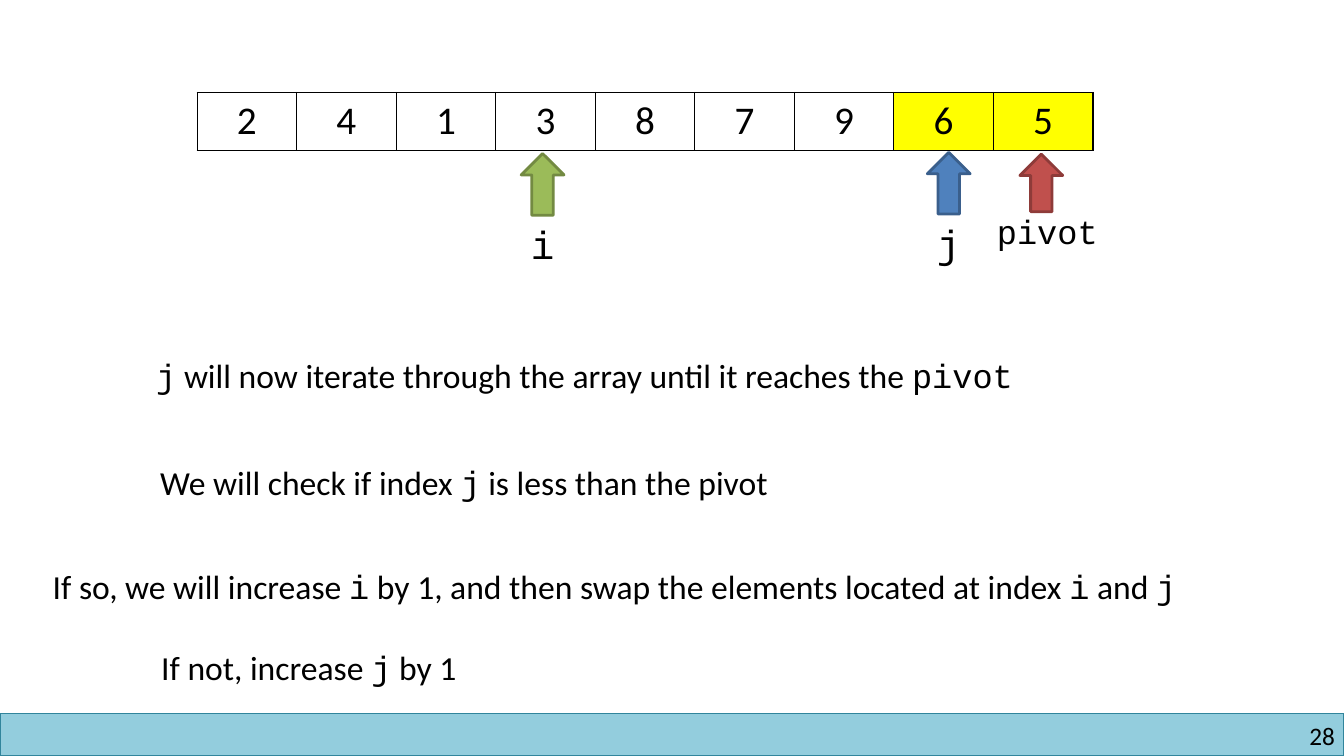
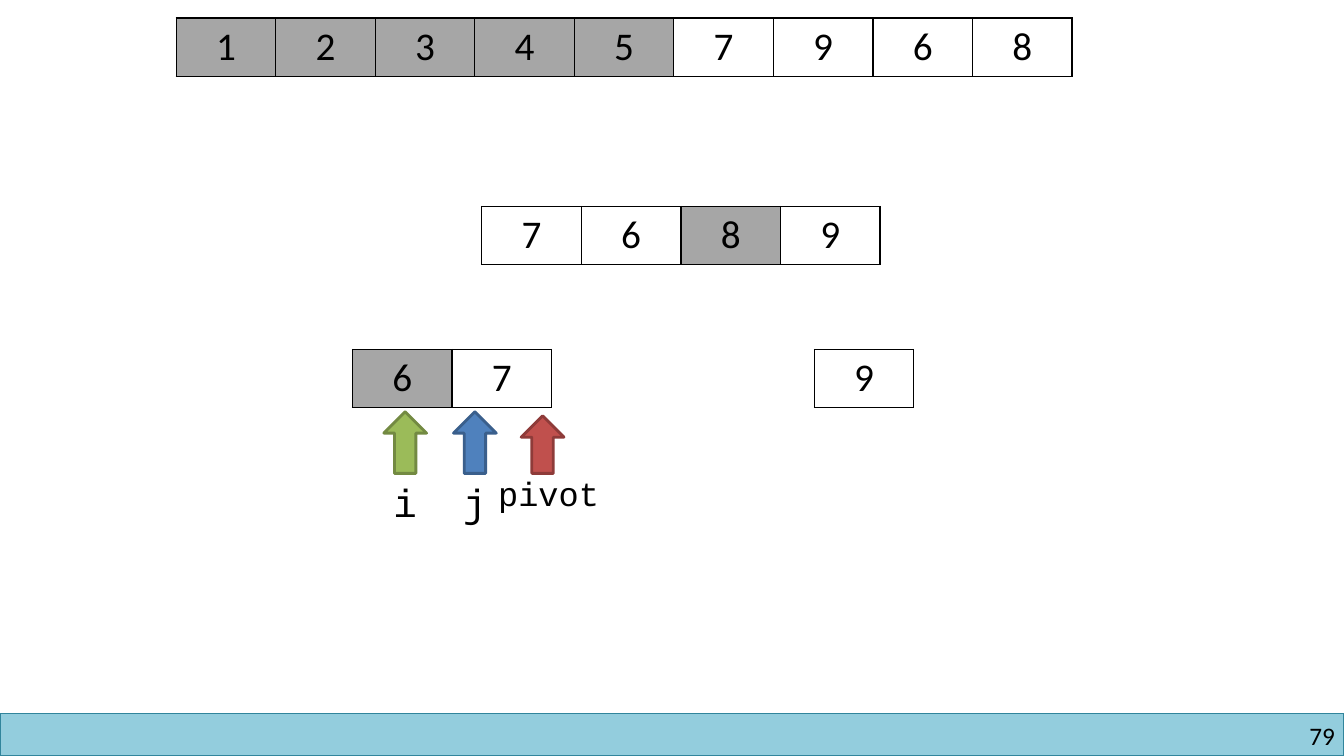
from dataclasses import dataclass
from lxml.etree import SubElement
from pptx import Presentation
from pptx.dml.color import RGBColor
from pptx.enum.shapes import MSO_SHAPE as Preset
from pptx.enum.text import PP_ALIGN as Align
from pptx.oxml.ns import qn
from pptx.util import Inches, Pt


@dataclass(frozen=True)
class Theme:
    """Colours, fonts, type sizes and line widths shared by the slides."""
    text: str = "000000"
    plain: str = "FFFFFF"
    marked: str = "FFFF00"
    done: str = "A6A6A6"
    band: str = "93CDDD"
    band_line: str = "31859C"
    body_font: str = "Calibri"
    code_font: str = "Courier New"
    large: int = 28
    medium: int = 24
    small: int = 18
    thin: int = 1
    thick: int = 2


@dataclass(frozen=True)
class Box:
    """A rectangle measured in grid columns and rows."""
    left: float
    top: float
    width: float
    height: float

    def place(self):
        """Return left, top, width and height as slide lengths."""
        return (int(self.left * COLUMN), int(self.top * ROW),
                int(self.width * COLUMN), int(self.height * ROW))


@dataclass(frozen=True)
class Pointer:
    """Colours and label layout of one kind of index pointer."""
    fill: str
    line: str
    height: float
    size: int
    label_height: float
    shift_right: float = 0
    shift_up: float = 0


THEME = Theme()
COLUMNS, ROWS = 13.5, 13
SLIDE_WIDTH, SLIDE_HEIGHT = Inches(13.333), Inches(7.5)
COLUMN, ROW = SLIDE_WIDTH / COLUMNS, SLIDE_HEIGHT / ROWS
ARROW_WIDTH, LABEL_WIDTH = 0.43, 1.4
POINTERS = {
    "i": Pointer("9BBB59", "738A42", 1.06, THEME.large, 0.99),
    "j": Pointer("4F81BD", "3A5F8C", 1.06, THEME.large, 0.99),
    "pivot": Pointer("C0504D", "8E3B39", 0.99, THEME.medium, 0.87, 0.06, 0.1),
}


def set_format(target, values):
    """Set each named attribute of the target."""
    for name, value in values.items():
        setattr(target, name, value)


def write(paragraph, text, size, align=Align.LEFT):
    """Write text into a paragraph, with parts between backticks in the code font."""
    paragraph.alignment = align
    for index, part in enumerate(text.split("`")):
        if part:
            run = paragraph.add_run()
            run.text = part
            name = THEME.code_font if index % 2 else THEME.body_font
            set_format(run.font, {"name": name, "size": Pt(size)})
            run.font.color.rgb = RGBColor.from_string(THEME.text)


def add_text(slide, box, text, size, align=Align.LEFT, margins=None):
    """Add a wrapping text box."""
    frame = slide.shapes.add_textbox(*box.place()).text_frame
    set_format(frame, {"word_wrap": True, **(margins or {})})
    write(frame.paragraphs[0], text, size, align)


def add_figure(slide, preset, box, fill, line, width):
    """Add a filled and outlined preset shape."""
    shape = slide.shapes.add_shape(preset, *box.place())
    shape.shadow.inherit = False
    shape.fill.solid()
    shape.fill.fore_color.rgb = RGBColor.from_string(fill)
    shape.line.color.rgb = RGBColor.from_string(line)
    shape.line.width = Pt(width)


def add_footer(slide, number):
    """Add the band along the bottom edge and its page number."""
    band = Box(0, 12.27, COLUMNS, ROWS - 12.27)
    add_figure(slide, Preset.RECTANGLE, band, THEME.band, THEME.band_line, THEME.thin)
    sides = ("left", "top", "right", "bottom")
    add_text(slide, Box(10.3, band.top + 0.12, 3.11, 0.52), str(number), THEME.small,
             Align.RIGHT, {f"margin_{side}": 0 for side in sides})


def set_borders(cell):
    """Draw a thin line on all four sides of a table cell."""
    properties = cell._tc.get_or_add_tcPr()
    for position, side in enumerate(("lnL", "lnR", "lnT", "lnB")):
        line = SubElement(properties, qn(f"a:{side}"), w=str(Pt(THEME.thin)))
        fill = SubElement(line, qn("a:solidFill"))
        SubElement(fill, qn("a:srgbClr"), val=THEME.text)
        properties.insert(position, line)


def add_array(slide, left, top, values, colored=(), color=THEME.plain):
    """Add a one-row table of values, one grid column each, and return its box."""
    box = Box(left, top, len(values), 1)
    table = slide.shapes.add_table(1, len(values), *box.place()).table
    set_format(table, {"first_row": False, "horz_banding": False})
    for index, value in enumerate(values):
        cell = table.cell(0, index)
        cell.fill.solid()
        shade = color if index in colored else THEME.plain
        cell.fill.fore_color.rgb = RGBColor.from_string(shade)
        set_borders(cell)
        write(cell.text_frame.paragraphs[0], str(value), THEME.large, Align.CENTER)
    return box


def add_pointer(slide, array, name, column, gap):
    """Add an arrow and its label below an array, centred on a column position."""
    pointer = POINTERS[name]
    center = array.left + column
    top = array.top + array.height + gap
    arrow = Box(center - ARROW_WIDTH / 2, top, ARROW_WIDTH, pointer.height)
    add_figure(slide, Preset.UP_ARROW, arrow, pointer.fill, pointer.line, THEME.thick)
    label = Box(center + pointer.shift_right - LABEL_WIDTH / 2,
                top + pointer.height - pointer.shift_up, LABEL_WIDTH, pointer.label_height)
    add_text(slide, label, f"`{name}`", pointer.size, Align.CENTER)


def add_pointers(slide, array, positions):
    """Add several pointers given as name, column and gap."""
    for name, column, gap in positions:
        add_pointer(slide, array, name, column, gap)


def build_scan_slide(slide):
    """Show the array being scanned and the rules for each step."""
    add_footer(slide, 28)
    array = add_array(slide, 1.98, 1.59, (2, 4, 1, 3, 8, 7, 9, 6, 5), (7, 8), THEME.marked)
    add_pointers(slide, array, (("pivot", 8.48, 0.06), ("j", 7.55, 0.03), ("i", 3.47, 0.05)))
    sentences = (
        (1.47, 6.01, 9.41, "`j` will now iterate through the array until it reaches the `pivot`"),
        (1.51, 7.85, 6.93, "We will check if index `j` is less than the pivot"),
        (0.43, 9.64, 12.66, "If so, we will increase `i` by 1, and then swap "
                            "the elements located at index `i` and `j`"),
        (1.52, 11.04, 3.47, "If not, increase `j` by 1"),
    )
    for left, top, width, text in sentences:
        add_text(slide, Box(left, top, width, 0.87), text, THEME.medium)


def build_partition_slide(slide):
    """Show the arrays of each recursion level, with sorted values shaded."""
    add_footer(slide, 79)
    add_array(slide, 1.77, 0.31, (1, 2, 3, 4, 5, 7, 9, 6, 8), range(5), THEME.done)
    add_array(slide, 4.84, 3.55, (7, 6, 8, 9), (2,), THEME.done)
    lower = add_array(slide, 3.54, 6.01, (6, 7), (0,), THEME.done)
    add_array(slide, 8.18, lower.top, (9,))
    add_pointers(slide, lower, (("pivot", 1.91, 0.14), ("j", 1.23, 0.07), ("i", 0.53, 0.07)))


def main():
    """Build and save the presentation."""
    presentation = Presentation()
    set_format(presentation, {"slide_width": SLIDE_WIDTH, "slide_height": SLIDE_HEIGHT})
    for build in (build_scan_slide, build_partition_slide):
        build(presentation.slides.add_slide(presentation.slide_layouts[6]))
    presentation.save("out.pptx")


if __name__ == "__main__":
    main()
